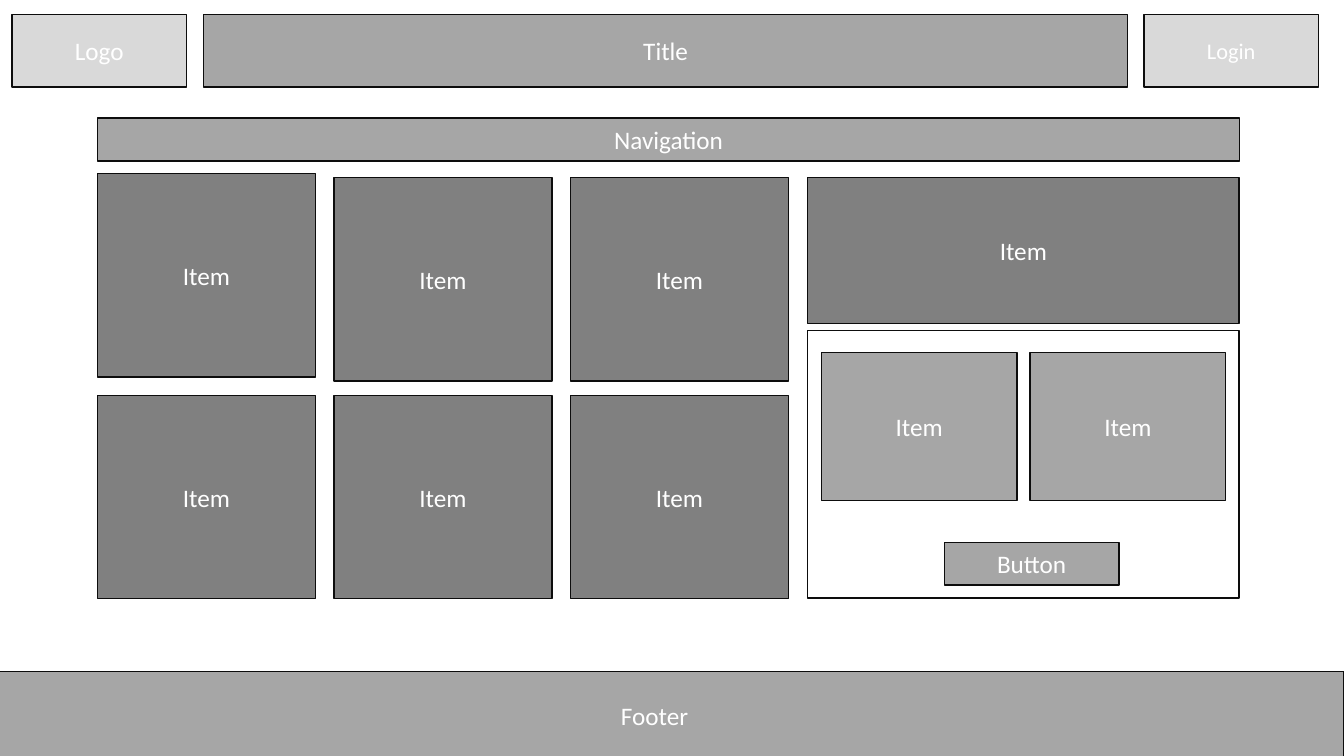
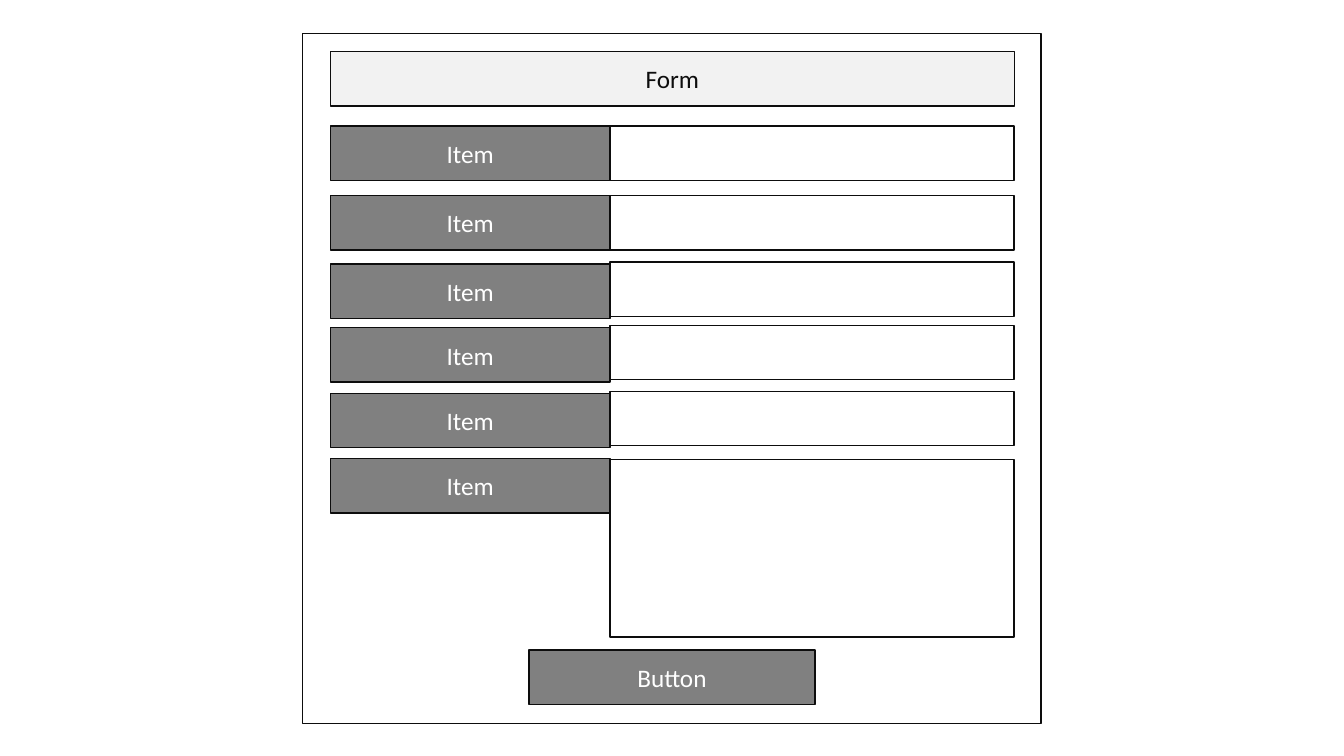
from pptx import Presentation
from pptx import util as u
from pptx.dml import color
from pptx.enum import shapes, text

WHITE, INK = "FFFFFF", "0D0D0D"
PALE, LIGHT, MEDIUM, DARK = "F2F2F2", "D9D9D9", "A6A6A6", "808080"


def rgb(value):
    return color.RGBColor.from_string(value)


class Wireframe:
    """Holds the shared box style and the slide being drawn."""

    TITLE_ONLY = 5
    FRAME = {
        "word_wrap": True,
        "auto_size": text.MSO_AUTO_SIZE.NONE,
        "vertical_anchor": text.MSO_ANCHOR.MIDDLE,
    }
    FONT = {"name": "Calibri", "bold": False}

    def __init__(self):
        self.deck = Presentation()
        self.deck.slide_width = u.Cm(33.87)
        self.deck.slide_height = u.Cm(19.05)
        self.page = None

    def add_page(self):
        layout = self.deck.slide_layouts[self.TITLE_ONLY]
        self.page = self.deck.slides.add_slide(layout)

    def paint(self, box, fill):
        """Apply the outline and a fill; without a fill the box is see-through."""
        if fill:
            box.fill.solid()
            box.fill.fore_color.rgb = rgb(fill)
        else:
            box.fill.background()
        box.line.color.rgb = rgb(INK)
        box.line.width = u.Pt(1)

    def add_label(self, box, label, ink, size):
        for name, value in self.FRAME.items():
            setattr(box.text_frame, name, value)
        para = box.text_frame.paragraphs[0]
        para.alignment = text.PP_ALIGN.CENTER
        span = para.add_run()
        span.text = label
        for name, value in {**self.FONT, "size": u.Pt(size)}.items():
            setattr(span.font, name, value)
        span.font.color.rgb = rgb(ink)

    def title(self, label, left, top, width, height, fill, ink=WHITE):
        box = self.page.shapes.title
        place = {"left": left, "top": top, "width": width, "height": height}
        for name, value in place.items():
            setattr(box, name, u.Cm(value))
        self.paint(box, fill)
        self.add_label(box, label, ink, 18)

    def box(self, left, top, width, height, fill=None, label="", size=18):
        box = self.page.shapes.add_shape(
            shapes.MSO_SHAPE.RECTANGLE,
            *(u.Cm(value) for value in (left, top, width, height)))
        box.shadow.inherit = False
        self.paint(box, fill)
        if label:
            self.add_label(box, label, WHITE, size)
        return box


def draw_home(wire):
    wire.add_page()

    header_top, header_height, corner_width = 0.36, 1.83, 4.4
    wire.title("Title", 5.13, header_top, 23.29, header_height, MEDIUM)
    for label, left, size in (("Logo", 0.3, 18), ("Login", 28.83, 16)):
        wire.box(left, header_top, corner_width, header_height, LIGHT, label, size)

    content_left = 2.46
    wire.box(content_left, 2.97, 28.78, 1.09, MEDIUM, "Navigation")

    item_step = 5.96
    first_row, second_row = (4.37, 4.47, 4.47), (9.96,) * 3
    for tops in (first_row, second_row):
        for column, top in enumerate(tops):
            wire.box(content_left + column * item_step, top, 5.49, 5.13, DARK, "Item")

    panel_left, panel_width = 20.35, 10.88
    wire.box(panel_left, 4.47, panel_width, 3.68, DARK, "Item")
    wire.box(panel_left, 8.33, panel_width, 6.74)
    for column in range(2):
        wire.box(20.7 + column * 5.26, 8.89, 4.93, 3.73, MEDIUM, "Item")
    wire.box(23.8, 13.67, 4.4, 1.07, MEDIUM, "Button")

    footer = wire.box(-0.03, 16.92, 33.9, 2.21, MEDIUM, "Footer")
    footer.text_frame.margin_right = u.Cm(1.1)


def draw_form(wire):
    wire.add_page()
    wire.box(7.62, 0.84, 18.62, 17.4)

    label_left, label_width, field_width, row_height = 8.33, 7.04, 10.19, 1.37
    field_left = label_left + label_width
    wire.title("Form", label_left, 1.3, label_width + field_width, row_height, PALE, INK)

    label_tops = (3.18, 4.93, 6.65, 8.26, 9.91, 11.56)
    field_tops = (3.18, 4.93, 6.6, 8.2, 9.86, 11.58)
    field_heights = (row_height,) * 5 + (4.47,)
    for label_top, field_top, field_height in zip(label_tops, field_tops, field_heights):
        wire.box(label_left, label_top, label_width, row_height, DARK, "Item")
        wire.box(field_left, field_top, field_width, field_height, WHITE)

    wire.box(13.33, 16.38, 7.21, row_height, DARK, "Button")


def main():
    wire = Wireframe()
    draw_home(wire)
    draw_form(wire)
    wire.deck.save("out.pptx")


if __name__ == "__main__":
    main()
